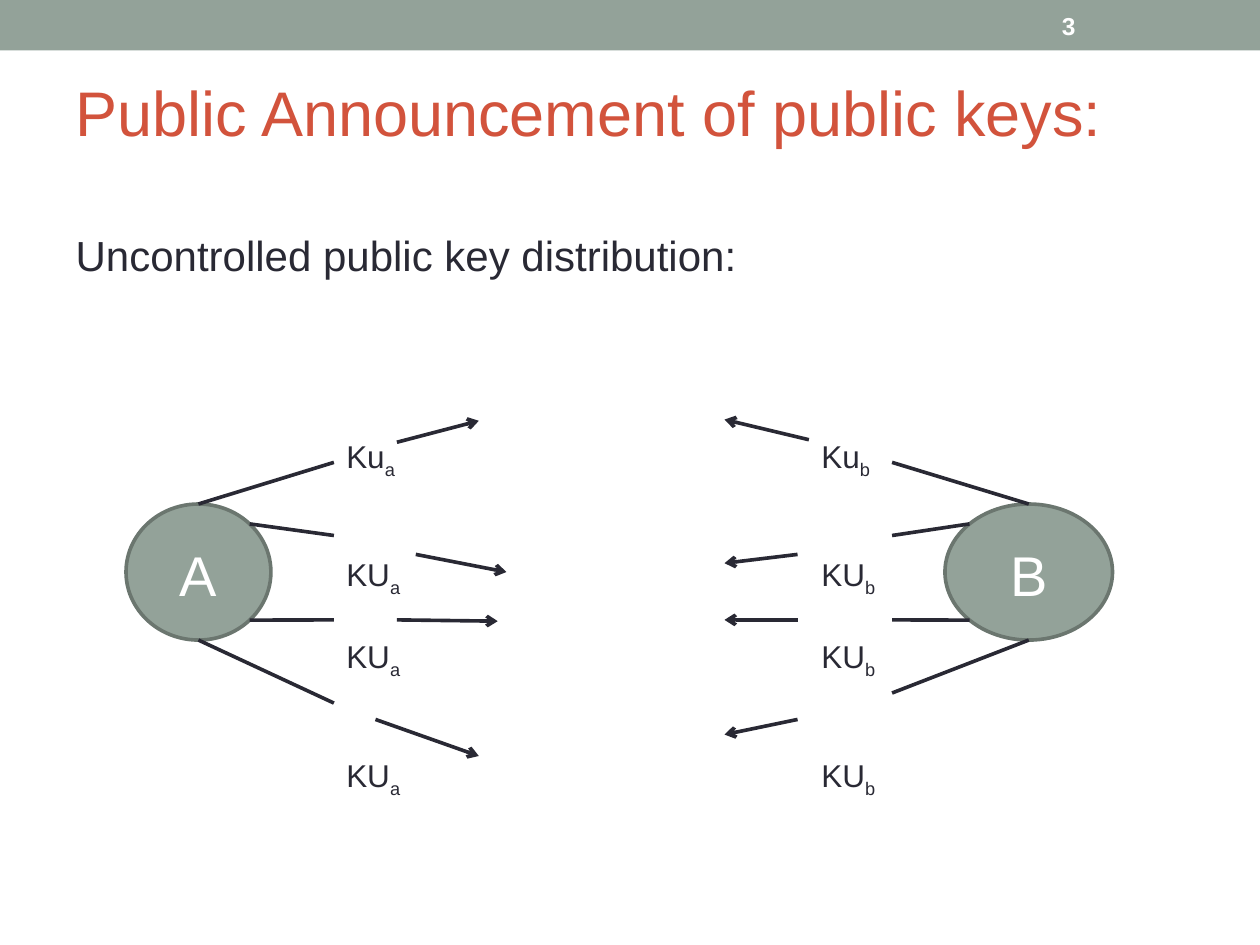
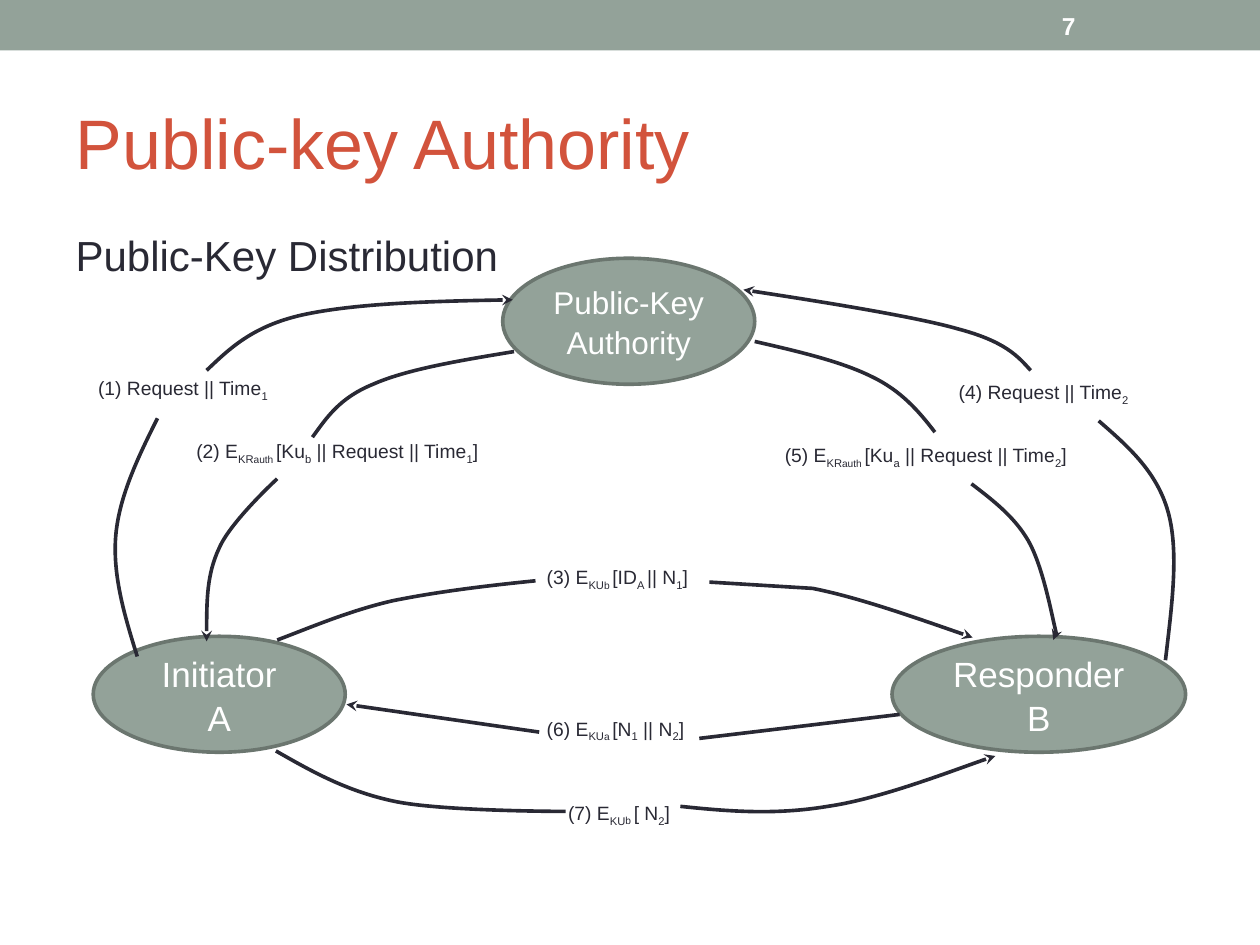
from math import sqrt

from lxml import etree
from pptx import Presentation
from pptx.dml.color import RGBColor
from pptx.enum.shapes import MSO_CONNECTOR, MSO_SHAPE
from pptx.enum.text import MSO_ANCHOR, MSO_AUTO_SIZE, PP_ALIGN
from pptx.oxml.ns import qn
from pptx.util import Inches, Pt

COLS, ROWS = 10, 7.5
CELL = Inches(1)
FONT = "Arial"
COLORS = {"sage": "93A299", "edge": "6B766F", "title": "D2533C",
          "ink": "292934", "white": "FFFFFF"}
LINE_WIDTH = Pt(2.07)
LINE_SPACING = 1.05


def rgb(name):
    return RGBColor.from_string(COLORS[name])


def grid(*cells):
    return [round(c * CELL) for c in cells]


def place(box, x, y):
    """Turn a point inside a box into a point on the slide."""
    return box[0] + x, box[1] + y


def write(p, text, size, color, bold=False):
    """Add runs: ~ switches subscript on and off, ^ makes the rest of a subscript smaller."""
    for i, part in enumerate(text.split("~")):
        for j, piece in enumerate(part.split("^")):
            if not piece:
                continue
            r = p.add_run()
            r.text = piece
            r.font.name, r.font.size, r.font.bold = FONT, Pt(size - j), bold
            r.font.color.rgb = rgb(color)
            if i % 2:
                r.font._element.set("baseline", "-25000")


def style_line(line, arrow, where="tail"):
    line.color.rgb = rgb("ink")
    line.width = LINE_WIDTH
    if arrow:
        end = etree.SubElement(line._get_or_add_ln(), qn(f"a:{where}End"))
        end.set("type", arrow)


def add_label(s, x, y, w, h, lines, size, color="ink", gaps=(0,), top=0.05, bold=False):
    tf = s.shapes.add_textbox(*grid(x, y, w, h)).text_frame
    tf.word_wrap = True
    tf.margin_top, tf.margin_right = grid(top, 0)
    for i, (text, gap) in enumerate(zip(lines, gaps)):
        p = tf.paragraphs[0] if i == 0 else tf.add_paragraph()
        p.line_spacing = LINE_SPACING
        if gap:
            p.space_before = Pt(gap)
        write(p, text, size, color, bold)
    return tf


def add_node(s, x, y, w, h, text, size):
    sp = s.shapes.add_shape(MSO_SHAPE.OVAL, *grid(x, y, w, h))
    sp.shadow.inherit = False
    sp.fill.solid()
    sp.fill.fore_color.rgb = rgb("sage")
    sp.line.color.rgb = rgb("edge")
    sp.line.width = LINE_WIDTH
    tf = sp.text_frame
    tf.word_wrap = True
    tf.vertical_anchor = MSO_ANCHOR.MIDDLE
    for i, line in enumerate(text.split("\n")):
        p = tf.paragraphs[0] if i == 0 else tf.add_paragraph()
        p.alignment = PP_ALIGN.CENTER
        p.line_spacing = LINE_SPACING
        write(p, line, size, "white")


def add_line(s, start, end, arrow=None):
    sp = s.shapes.add_connector(MSO_CONNECTOR.STRAIGHT, *grid(*start, *end))
    style_line(sp.line, arrow)
    etree.SubElement(sp._element.spPr, qn("a:effectLst"))


def add_curve(s, points, arrow_at=None):
    """Draw a straight line through two points, or Bezier pieces through 1 + 3n points."""
    builder = s.shapes.build_freeform(*grid(*points[0]))
    builder.add_line_segments([grid(*pt) for pt in points[1:]], close=False)
    sp = builder.convert_to_shape()
    sp.shadow.inherit = False
    sp.fill.background()
    style_line(sp.line, arrow_at and "stealth", arrow_at)
    if len(points) == 2:
        return
    path = sp._element.find(".//" + qn("a:path"))
    steps = path.findall(qn("a:lnTo"))
    for i in range(0, len(steps), 3):
        bezier = etree.SubElement(path, qn("a:cubicBezTo"))
        for step in steps[i:i + 3]:
            bezier.append(step[0])
            path.remove(step)


def add_base_slide(prs, title, title_size, subtitle, number, title_on_top=False):
    s = prs.slides.add_slide(prs.slide_layouts[1])
    band = s.shapes.add_shape(MSO_SHAPE.RECTANGLE, *grid(0, 0, COLS, 0.4))
    band.shadow.inherit = False
    band.fill.solid()
    band.fill.fore_color.rgb = rgb("sage")
    band.line.fill.background()

    body = s.placeholders[1]
    for ph, box in ((s.shapes.title, (0.5, 0.58, 9, 1.08)), (body, (0.5, 1.75, 9, 5.33))):
        ph.left, ph.top, ph.width, ph.height = grid(*box)
        ph.text_frame.auto_size = MSO_AUTO_SIZE.NONE
    tf = s.shapes.title.text_frame
    tf.vertical_anchor = MSO_ANCHOR.MIDDLE
    if title_on_top:
        tf.vertical_anchor = MSO_ANCHOR.TOP
        tf.margin_top = 0
    tf.paragraphs[0].alignment = PP_ALIGN.LEFT
    write(tf.paragraphs[0], title, title_size, "title")

    p = body.text_frame.paragraphs[0]
    p.space_before = Pt(0)
    p.line_spacing = LINE_SPACING
    pPr = p._p.get_or_add_pPr()
    pPr.set("marL", "0")
    pPr.set("indent", "0")
    etree.SubElement(pPr, qn("a:buNone"))
    write(p, subtitle, 24, "ink")

    tf = add_label(s, 8.33, 0.02, 1.17, 0.36, [number], 14, "white", bold=True)
    tf.vertical_anchor = MSO_ANCHOR.MIDDLE
    return s


def add_party(s, box, name, node_x, node_w, side, label_x, spoke_x, spoke_ys, arrows):
    """Draw a key owner, its four spokes (side 1: to the right, -1: to the left) and its keys."""
    node_y, node_h = 0.92, 1.08
    add_node(s, *place(box, node_x, node_y), node_w, node_h, name, 32)
    cx, cy = node_x + node_w / 2, node_y + node_h / 2
    dx, dy = side * node_w / sqrt(8), node_h / sqrt(8)
    starts = [(cx, node_y), (cx + dx, cy - dy), (cx + dx, cy + dy), (cx, node_y + node_h)]
    for start, y in zip(starts, spoke_ys):
        add_line(s, place(box, *start), place(box, spoke_x, y))
    for x1, y1, x2, y2 in arrows:
        add_line(s, place(box, x1, y1), place(box, x2, y2), "arrow")
    keys = [f"{key}~{name.lower()}" for key in ("Ku", "KU", "KU", "KU")]
    add_label(s, *place(box, label_x, 0), 0.67, 3.47, keys, 18,
              gaps=(0, 42, 21, 42), top=0.37)


def add_authority_exchange(s, box):
    nodes = [
        (3.49, 0.05, 2, 1, "Public-Key Authority", 18),
        (0.24, 3.05, 2, 0.92, "Initiator\nA", 20),
        (6.58, 3.05, 2.33, 0.92, "Responder B", 20),
    ]
    messages = [
        (0.18, 0.93, 1.65, "(1) Request || Time~1"),
        (0.96, 1.43, 2.78, "(2) E~KR^auth ~[Ku~b~ || Request || Time~1~]"),
        (3.74, 2.43, 1.75, "(3) E~KU^b ~[ID~A ~|| N~1~]"),
        (7.01, 0.96, 1.65, "(4) Request || Time~2"),
        (5.63, 1.46, 2.78, "(5) E~KR^auth ~[Ku~a~ || Request || Time~2~]"),
        (3.74, 3.63, 1.75, "(6) E~KU^a ~[N~1~ || N~2~]"),
        (3.91, 4.3, 1.75, "(7) E~KU^b ~[ N~2~]"),
    ]
    curves = [
        # initiator asks the authority
        (None, [(0.59, 3.21), (0.49, 2.89), (0.39, 2.56), (0.42, 2.24),
                (0.45, 1.93), (0.6, 1.62), (0.75, 1.32)]),
        ("tail", [(1.14, 0.94), (1.32, 0.77), (1.5, 0.59), (1.9, 0.5),
                  (2.31, 0.41), (2.94, 0.39), (3.57, 0.38)]),
        # authority answers the initiator
        (None, [(1.98, 1.47), (2.09, 1.32), (2.19, 1.16), (2.46, 1.05),
                (2.73, 0.93), (3.16, 0.86), (3.58, 0.79)]),
        ("head", [(1.14, 3.09), (1.14, 2.82), (1.14, 2.56), (1.24, 2.35),
                  (1.33, 2.14), (1.7, 1.8), (1.7, 1.8)]),
        # initiator contacts the responder
        (None, [(1.7, 3.08), (1.99, 2.97), (2.27, 2.85), (2.61, 2.77),
                (2.95, 2.7), (3.35, 2.65), (3.75, 2.61)]),
        ("tail", [(5.13, 2.62), (5.13, 2.62), (5.95, 2.67), (5.95, 2.67),
                  (6.3, 2.74), (6.76, 2.9), (7.22, 3.06)]),
        # responder asks the authority
        (None, [(8.75, 3.24), (8.8, 2.81), (8.86, 2.38), (8.77, 2.06),
                (8.68, 1.74), (8.45, 1.54), (8.22, 1.34)]),
        ("tail", [(7.68, 0.94), (7.58, 0.83), (7.48, 0.71), (7.1, 0.61),
                  (6.72, 0.5), (5.4, 0.3), (5.4, 0.3)]),
        # authority answers the responder
        (None, [(6.92, 1.43), (6.79, 1.26), (6.65, 1.1), (6.42, 0.99),
                (6.18, 0.87), (5.84, 0.79), (5.49, 0.71)]),
        ("tail", [(7.21, 1.84), (7.38, 1.97), (7.55, 2.1), (7.66, 2.29),
                  (7.77, 2.48), (7.84, 2.84), (7.87, 2.97),
                  (7.9, 3.1), (7.88, 3.09), (7.86, 3.08)]),
        # responder replies to the initiator
        (None, [(5.05, 3.86), (6.64, 3.67)]),
        ("head", [(2.25, 3.59), (3.78, 3.81)]),
        # initiator confirms
        (None, [(1.69, 3.96), (1.97, 4.12), (2.25, 4.28), (2.63, 4.36),
                (3.01, 4.44), (3.99, 4.44), (3.99, 4.44)]),
        ("tail", [(4.9, 4.4), (5.28, 4.44), (5.65, 4.47), (6.07, 4.4),
                  (6.49, 4.34), (7.18, 4.07), (7.4, 4)]),
    ]
    for x, y, w, h, text, size in nodes:
        add_node(s, *place(box, x, y), w, h, text, size)
    for x, y, w, text in messages:
        add_label(s, *place(box, x, y), w, 0.31, [text], 11)
    for arrow_at, points in curves:
        add_curve(s, [place(box, *pt) for pt in points], arrow_at)


def main():
    prs = Presentation()
    prs.slide_width, prs.slide_height = grid(COLS, ROWS)

    s = add_base_slide(prs, "Public Announcement of public keys:", 36,
                       "Uncontrolled public key distribution:", "3", title_on_top=True)
    add_party(s, (1, 3.08), "A", node_x=0, node_w=1.15, side=1, label_x=1.65,
              spoke_x=1.65, spoke_ys=(0.59, 1.17, 1.84, 2.5),
              arrows=[(2.15, 0.43, 2.8, 0.26), (2.3, 1.32, 3.02, 1.46),
                      (2.15, 1.84, 2.95, 1.85), (1.98, 2.63, 2.8, 2.92)])
    add_party(s, (5.75, 3.08), "B", node_x=1.75, node_w=1.33, side=-1, label_x=0.67,
              spoke_x=1.33, spoke_ys=(0.59, 1.17, 1.84, 2.42),
              arrows=[(0.67, 0.41, 0, 0.25), (0.58, 1.32, 0, 1.39),
                      (0.58, 1.84, 0, 1.84), (0.58, 2.63, 0, 2.75)])

    s = add_base_slide(prs, "Public-key Authority", 40, "Public-Key Distribution", "7")
    add_authority_exchange(s, (0.5, 2))
    prs.save("out.pptx")


if __name__ == "__main__":
    main()
